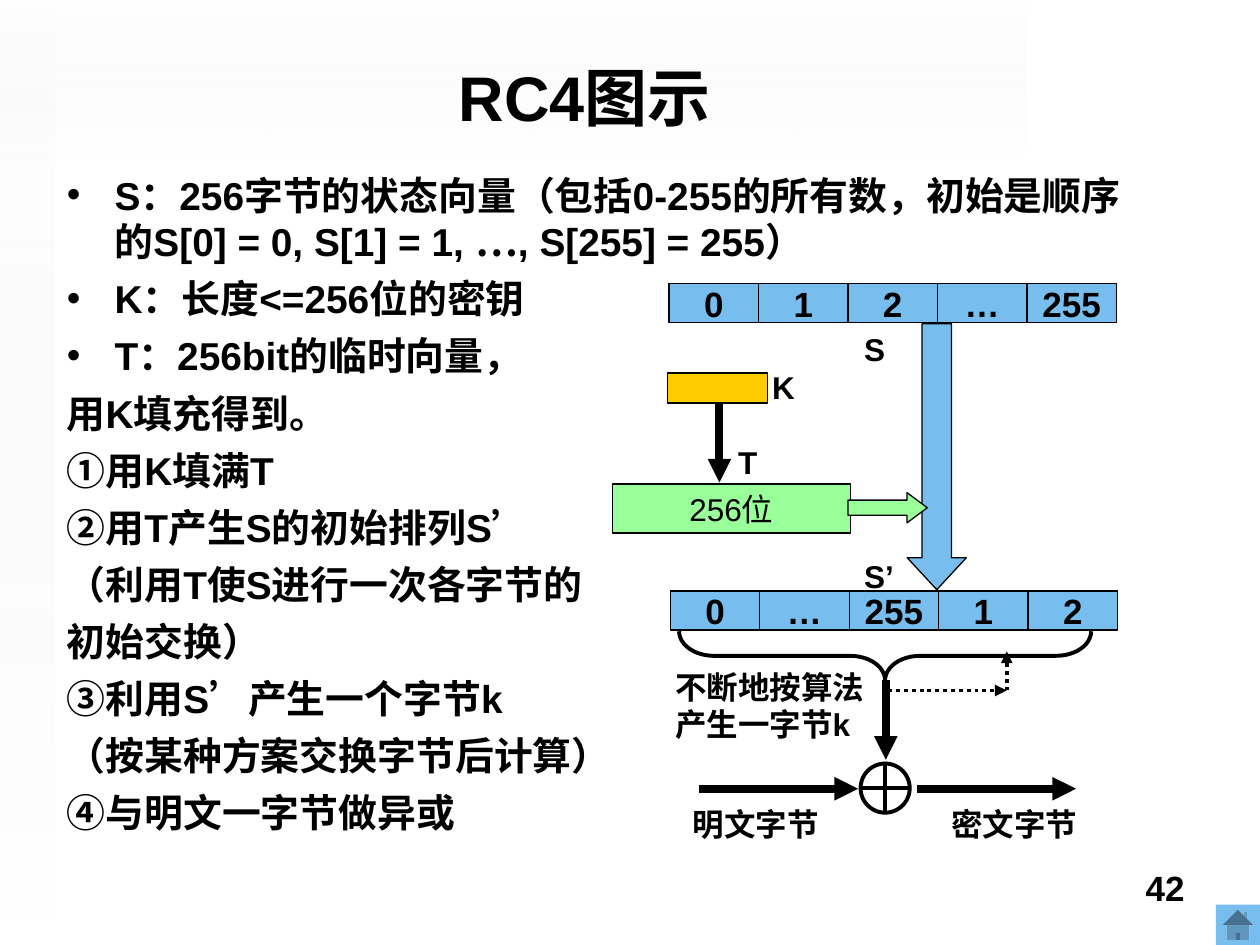
from dataclasses import dataclass

from lxml.etree import SubElement
from pptx import Presentation
from pptx.dml.color import RGBColor
from pptx.enum.dml import MSO_LINE
from pptx.enum.shapes import MSO_CONNECTOR, MSO_SHAPE
from pptx.enum.text import MSO_ANCHOR, MSO_AUTO_SIZE, PP_ALIGN
from pptx.oxml import parse_xml
from pptx.oxml.ns import nsdecls, qn
from pptx.util import Inches, Pt


@dataclass(frozen=True)
class Theme:
    latin: str = "Arial"
    asian: str = "Noto Sans CJK SC"
    ink: str = "000000"
    paper: str = "FFFFFF"
    shade: str = "EAEAEA"
    state: str = "77BDED"
    key: str = "FFCC00"
    temporary: str = "99FF99"
    title: float = 36
    body: float = 22.2
    cell: float = 20
    label: float = 18
    leading: float = 1.2
    thin: float = 0.75
    medium: float = 2.25
    thick: float = 4.5


THEME = Theme()

POINTS = [
    ("•", ["S：256字节的状态向量（包括0-255的所有数，初始是顺序的S[0] = 0, S[1] = 1, ",
           "…", ", S[255] = 255）"]),
    ("•", ["K：长度<=256位的密钥"]),
    ("•", ["T：256bit的临时向量，"]),
    (None, ["用K填充得到。"]),
    (None, ["①用K填满T"]),
    (None, ["②用T产生S的初始排列S", "’"]),
    (None, ["（利用T使S进行一次各字节的"]),
    (None, ["初始交换）"]),
    (None, ["③利用S", "’", "产生一个字节k"]),
    (None, ["（按某种方案交换字节后计算）"]),
    (None, ["④与明文一字节做异或"]),
]


def color(value):
    return RGBColor.from_string(value)


def place(shape, left, top, width, height):
    shape.left, shape.top = Inches(left), Inches(top)
    shape.width, shape.height = Inches(width), Inches(height)


def add_span(para, text, size, bold=True):
    span = para.add_run()
    span.text = text
    font = span.font
    font.size, font.bold = Pt(size), bold
    font.color.rgb = color(THEME.ink)
    font.name = THEME.asian if text in ("…", "’") and size == THEME.body else THEME.latin
    SubElement(font._element, qn("a:ea")).set("typeface", THEME.asian)


def write(frame, lines, size, align=PP_ALIGN.LEFT, bold=True):
    for index, text in enumerate(lines):
        para = frame.add_paragraph() if index else frame.paragraphs[0]
        para.alignment = align
        para.line_spacing = Pt(size * THEME.leading)
        add_span(para, text, size, bold)


def add_label(page, left, top, width, height, lines, size=THEME.label, align=PP_ALIGN.LEFT):
    box = page.shapes.add_textbox(*map(Inches, (left, top, width, height)))
    box.text_frame.word_wrap = False
    write(box.text_frame, lines, size, align)


def add_block(shapes, kind, left, top, width, height, fill, line=THEME.thin):
    shape = shapes.add_shape(kind, *map(Inches, (left, top, width, height)))
    shape.shadow.inherit = False
    if fill:
        shape.fill.solid()
        shape.fill.fore_color.rgb = color(fill)
    else:
        shape.fill.background()
    if line:
        shape.line.color.rgb = color(THEME.ink)
        shape.line.width = Pt(line)
    else:
        shape.line.fill.background()
    return shape


def write_inside(shape, text, size, bold=True):
    frame = shape.text_frame
    frame.word_wrap = False
    frame.vertical_anchor = MSO_ANCHOR.MIDDLE
    write(frame, [text], size, PP_ALIGN.CENTER, bold)


def add_line(shapes, start, end, width, arrow=True, dotted=False):
    line = shapes.add_connector(MSO_CONNECTOR.STRAIGHT, *map(Inches, start + end))
    line.line.color.rgb = color(THEME.ink)
    line.line.width = Pt(width)
    if dotted:
        line.line.dash_style = MSO_LINE.ROUND_DOT
    if arrow:
        SubElement(line.line._get_or_add_ln(), qn("a:tailEnd")).set("type", "triangle")
    SubElement(line._element.spPr, qn("a:effectLst"))


def add_band(page, left, top, width, height, rotation, angle, opacity):
    band = add_block(page.shapes, MSO_SHAPE.RECTANGLE, left, top, width, height, None, None)
    band.rotation = rotation
    gradient = parse_xml(
        f'<a:gradFill {nsdecls("a")}><a:gsLst>'
        f'<a:gs pos="0"><a:srgbClr val="{THEME.shade}"><a:alpha val="0"/></a:srgbClr></a:gs>'
        f'<a:gs pos="100000"><a:srgbClr val="{THEME.paper}">'
        f'<a:alpha val="{opacity * 1000}"/></a:srgbClr></a:gs>'
        f'</a:gsLst><a:lin ang="{angle * 60000}" scaled="0"/></a:gradFill>')
    properties = band._element.spPr
    properties.replace(properties.find(qn("a:noFill")), gradient)
    page.shapes.element.insert(2, band._element)


def add_vector(page, left, top, values):
    pitch = 0.71
    for index, value in enumerate(values):
        cell = add_block(page.shapes, MSO_SHAPE.RECTANGLE, left + index * pitch, top,
                         pitch, 0.31, THEME.state)
        write_inside(cell, value, THEME.cell)


def add_xor(page, left, top, size):
    shapes = page.shapes.add_group_shape().shapes
    add_block(shapes, MSO_SHAPE.OVAL, left, top, size, size, THEME.paper, THEME.medium)
    middle, center = top + size / 2, left + size / 2
    add_line(shapes, (left, middle), (left + size, middle), THEME.medium, arrow=False)
    add_line(shapes, (center, top), (center, top + size), THEME.medium, arrow=False)


def fill_title(page):
    title = page.shapes.title
    place(title, 0.27, 0.28, 8.74, 0.97)
    title.text_frame.vertical_anchor = MSO_ANCHOR.MIDDLE
    title.text_frame.auto_size = MSO_AUTO_SIZE.NONE
    write(title.text_frame, ["RC4图示"], THEME.title, PP_ALIGN.CENTER)


def fill_body(page):
    body = page.placeholders[1]
    place(body, 0.43, 1.31, 8.66, 5.35)
    frame = body.text_frame
    frame.auto_size = MSO_AUTO_SIZE.NONE
    for index, (bullet, spans) in enumerate(POINTS):
        para = frame.add_paragraph() if index else frame.paragraphs[0]
        para.space_before = Pt(6 if index else 0)
        para.line_spacing = Pt(THEME.body * THEME.leading)
        properties = para._p.get_or_add_pPr()
        properties.set("marL", str(Inches(0.38)))
        properties.set("indent", str(-Inches(0.38)))
        if bullet:
            SubElement(properties, qn("a:buChar")).set("char", bullet)
        else:
            SubElement(properties, qn("a:buNone"))
        for text in spans:
            add_span(para, text, THEME.body)


def draw_key_schedule(page):
    shapes = page.shapes
    add_vector(page, 5.31, 2.25, ["0", "1", "2", "…", "255"])
    permute = add_block(shapes, MSO_SHAPE.DOWN_ARROW, 7.2, 2.57, 0.47, 2.11, THEME.state)
    permute.adjustments[0], permute.adjustments[1] = 0.5, 0.54
    for text, left, row in [("S", 6.76, 0), ("K", 6.03, 1), ("T", 5.76, 3), ("S’", 6.76, 6)]:
        add_label(page, left, 2.57 + row * 0.3, 0.5, 0.4, [text])
    add_block(shapes, MSO_SHAPE.RECTANGLE, 5.3, 2.96, 0.79, 0.24, THEME.key)
    temporary = add_block(shapes, MSO_SHAPE.RECTANGLE, 4.86, 3.84, 1.89, 0.39, THEME.temporary)
    write_inside(temporary, "256位", THEME.label, bold=False)
    add_line(shapes, (5.71, 3.2), (5.71, 3.83), THEME.thick)
    add_vector(page, 5.32, 4.69, ["0", "…", "255", "1", "2"])
    mix = add_block(shapes, MSO_SHAPE.RIGHT_ARROW, 6.73, 3.91, 0.63, 0.24, THEME.temporary)
    mix.adjustments[0], mix.adjustments[1] = 0.5, 0.67


def draw_encryption(page):
    shapes = page.shapes
    brace = add_block(shapes, MSO_SHAPE.LEFT_BRACE, 6.83, 3.57, 0.39, 3.27, None, THEME.medium)
    brace.rotation = 270
    brace.adjustments[0] = 0.71
    add_line(shapes, (7.03, 5.4), (7.03, 6.03), THEME.thick)
    add_label(page, 5.26, 5.25, 1.7, 0.7, ["不断地按算法", "产生一字节k"])
    add_xor(page, 6.83, 6.06, 0.39)
    for text, label_left, start, end in [("明文字节", 5.4, 5.55, 6.81), ("密文字节", 7.45, 7.28, 8.54)]:
        add_label(page, label_left, 6.34, 1.2, 0.4, [text])
        add_line(shapes, (start, 6.26), (end, 6.26), THEME.thick)
    add_line(shapes, (7.05, 5.48), (7.99, 5.48), THEME.medium, dotted=True)
    add_line(shapes, (7.99, 5.48), (7.99, 5.17), THEME.medium, dotted=True)


def main():
    deck = Presentation()
    deck.slide_width, deck.slide_height = Inches(10), Inches(7.5)
    page = deck.slides.add_slide(deck.slide_layouts[1])
    add_band(page, 0, 0, 0.43, 7.26, 180, 270, 65)
    add_band(page, 3.46, -3.46, 1.23, 8.15, 90, 0, 49)
    add_block(page.shapes, MSO_SHAPE.ACTION_BUTTON_HOME, 9.65, 7.18, 0.35, 0.32, THEME.state, None)
    add_label(page, 7.17, 6.83, 2.33, 0.52, ["42"], THEME.cell, PP_ALIGN.RIGHT)
    fill_title(page)
    fill_body(page)
    draw_key_schedule(page)
    draw_encryption(page)
    deck.save("out.pptx")


if __name__ == "__main__":
    main()
